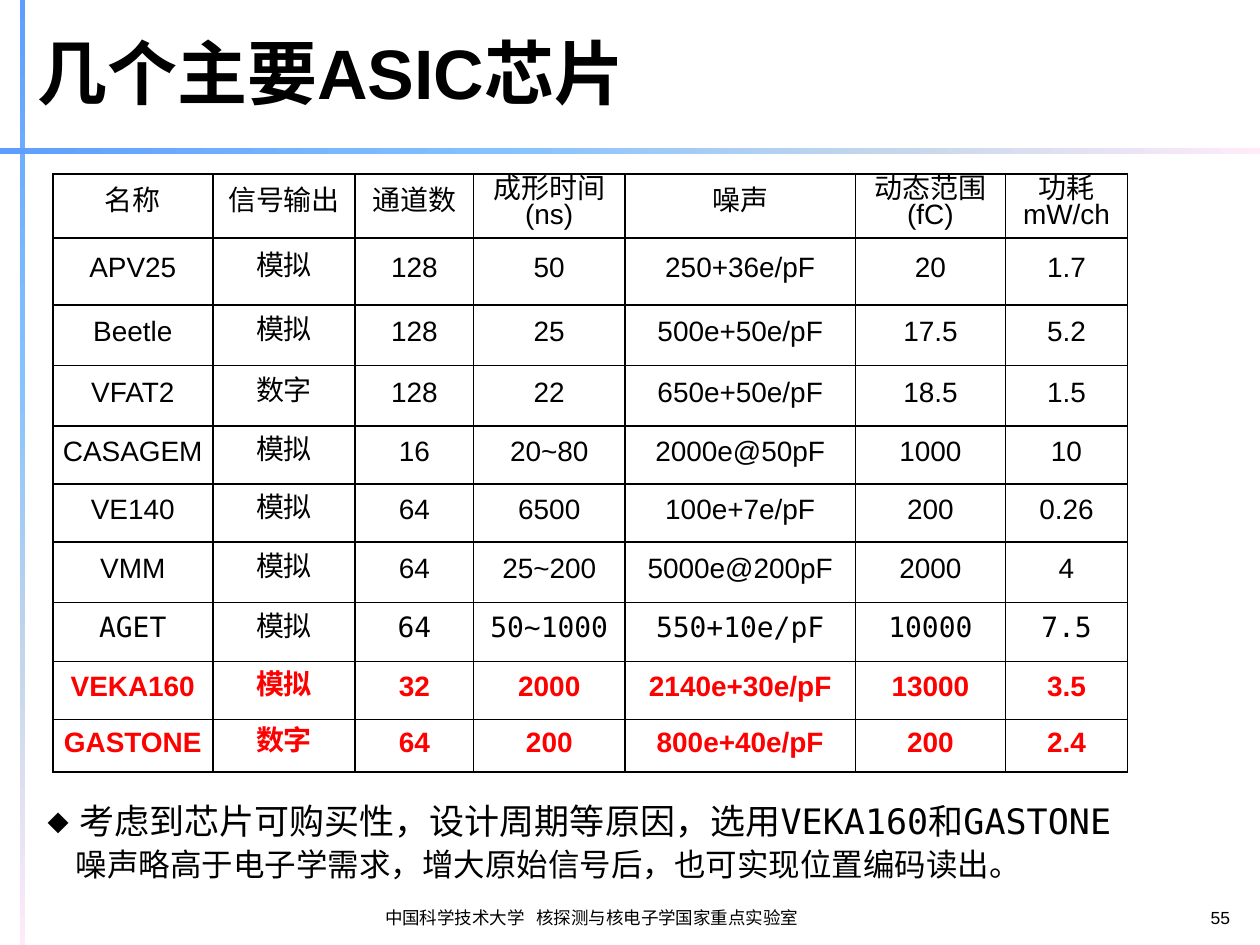
from lxml import etree
from pptx import Presentation
from pptx.dml.color import RGBColor
from pptx.enum import shapes, text
from pptx.oxml import parse_xml
from pptx.oxml.ns import nsdecls, qn
from pptx.util import Pt

HUES = {"ink": "000000", "red": "FF0000"}
FADE = [(0, "5E9EFF"), (40, "85C2FF"), (70, "C4D6EB"), (100, "FFEBFA")]
SANS, MONO, HAN = "Arial", "DejaVu Sans Mono", "Noto Sans CJK SC"
LEFT, MID, RIGHT = text.PP_ALIGN.LEFT, text.PP_ALIGN.CENTER, text.PP_ALIGN.RIGHT
TOP, CENTER, BASE = (text.MSO_ANCHOR.TOP, text.MSO_ANCHOR.MIDDLE,
                     text.MSO_ANCHOR.BOTTOM)

COLS = [91.4, 81.4, 67.7, 86.4, 131.8, 85.7, 69.8]
ROWS = [36.7, 38.2, 34.6, 34.6, 33.1, 33.1, 34.6, 33.8, 33.1, 30.2]
CHIPS = [
    ["名称", "信号输出", "通道数", "成形时间\n(ns)", "噪声", "动态范围\n(fC)", "功耗\nmW/ch"],
    ["APV25", "模拟", "128", "50", "250+36e/pF", "20", "1.7"],
    ["Beetle", "模拟", "128", "25", "500e+50e/pF", "17.5", "5.2"],
    ["VFAT2", "数字", "128", "22", "650e+50e/pF", "18.5", "1.5"],
    ["CASAGEM", "模拟", "16", "20~80", "2000e@50pF", "1000", "10"],
    ["VE140", "模拟", "64", "6500", "100e+7e/pF", "200", "0.26"],
    ["VMM", "模拟", "64", "25~200", "5000e@200pF", "2000", "4"],
    ["AGET", "模拟", "64", "50~1000", "550+10e/pF", "10000", "7.5"],
    ["VEKA160", "模拟", "32", "2000", "2140e+30e/pF", "13000", "3.5"],
    ["GASTONE", "数字", "64", "200", "800e+40e/pF", "200", "2.4"],
]
MONO_ROWS = {"AGET"}
PICKED = {"VEKA160", "GASTONE"}


def style(par, size, face=SANS, hue="ink", bold=False, align=LEFT):
    par.alignment = align
    for run in par.runs:
        font = run.font
        font.size, font.bold, font.name = Pt(size), bold, face
        font.color.rgb = RGBColor.from_string(HUES[hue])
        east = etree.SubElement(font._element, qn("a:ea"))
        east.set("typeface", HAN)


def label(slide, box, words, size, anchor=TOP, **look):
    frame = slide.shapes.add_textbox(*map(Pt, box)).text_frame
    frame.word_wrap = True
    frame.vertical_anchor = anchor
    frame.text = words
    style(frame.paragraphs[0], size, **look)
    return frame.paragraphs[0]


def fade_bar(slide, box, angle):
    """Draw a borderless bar whose colours run along the given angle."""
    bar = slide.shapes.add_shape(shapes.MSO_SHAPE.RECTANGLE, *map(Pt, box))
    bar.shadow.inherit = False
    bar.line.fill.background()
    stops = "".join(f'<a:gs pos="{pos * 1000}"><a:srgbClr val="{hue}"/></a:gs>'
                    for pos, hue in FADE)
    fill = parse_xml(f'<a:gradFill {nsdecls("a")}><a:gsLst>{stops}</a:gsLst>'
                     f'<a:lin ang="{angle * 60000}" scaled="0"/></a:gradFill>')
    bar._element.spPr.find(qn("a:prstGeom")).addnext(fill)


def frame_lines(slide, width, height):
    fade_bar(slide, (11.5, 0, 2.9, height), 90)
    fade_bar(slide, (0, 84.4, width, 3.6), 0)


def edge(cell):
    """Put a thin line on all four sides of a cell."""
    props = cell._tc.get_or_add_tcPr()
    for spot, side in enumerate("LRTB"):
        props.insert(spot, parse_xml(
            f'<a:ln{side} {nsdecls("a")} w="12700"><a:solidFill>'
            f'<a:srgbClr val="{HUES["ink"]}"/></a:solidFill></a:ln{side}>'))


def chip_table(slide, left, top):
    table = slide.shapes.add_table(
        len(ROWS), len(COLS), Pt(left), Pt(top),
        Pt(sum(COLS)), Pt(sum(ROWS))).table
    table.first_row = table.horz_banding = False
    for col, width in zip(table.columns, COLS):
        col.width = Pt(width)
    for row, height, chip in zip(table.rows, ROWS, CHIPS):
        row.height = Pt(height)
        picked = chip[0] in PICKED
        face = MONO if chip[0] in MONO_ROWS else SANS
        for cell, words in zip(row.cells, chip):
            cell.text = words
            cell.fill.background()
            edge(cell)
            cell.vertical_anchor = CENTER
            cell.margin_left = cell.margin_right = Pt(5)
            cell.margin_top = cell.margin_bottom = 0
            for par in cell.text_frame.paragraphs:
                par.line_spacing = Pt(14)
                style(par, 16, face, "red" if picked else "ink", picked, MID)


def remarks(slide, left, top):
    par = label(slide, (left, top, 698, 53),
                "考虑到芯片可购买性，设计周期等原因，选用VEKA160和GASTONE", 20, face=MONO)
    props = par._p.get_or_add_pPr()
    props.set("marL", str(Pt(18)))
    props.set("indent", str(Pt(-18)))
    etree.SubElement(props, qn("a:buFont")).set("typeface", MONO)
    etree.SubElement(props, qn("a:buChar")).set("char", "◆")
    label(slide, (left + 16, top + 26, 550, 29),
          "噪声略高于电子学需求，增大原始信号后，也可实现位置编码读出。", 18, face=HAN)


def footer(slide, top):
    parts = [((213, 100), "中国科学技术大学", LEFT),
             ((290, 173), "核探测与核电子学国家重点实验室", RIGHT),
             ((681, 29), "55", RIGHT)]
    for (left, width), words, align in parts:
        label(slide, (left, top, width, 29), words, 10, BASE, align=align)


def main():
    deck = Presentation()
    deck.slide_width, deck.slide_height = Pt(720), Pt(540)
    slide = deck.slides.add_slide(deck.slide_layouts[6])
    frame_lines(slide, 720, 540)
    label(slide, (14.4, 9.4, 648, 62.6), "几个主要ASIC芯片", 40, CENTER, bold=True)
    chip_table(slide, 30.2, 99.4)
    remarks(slide, 20.2, 453.6)
    footer(slide, 505)
    deck.save("out.pptx")


if __name__ == "__main__":
    main()
